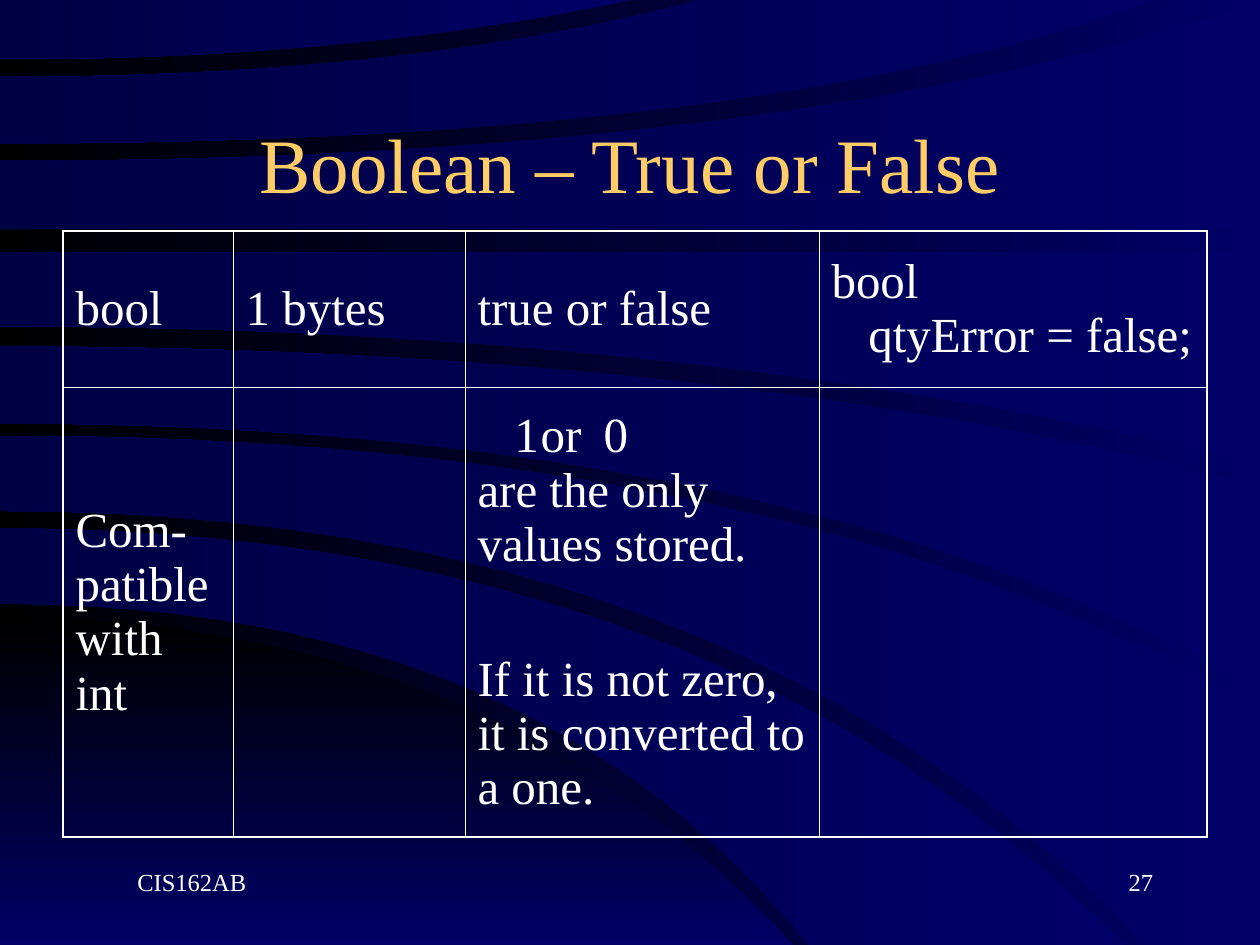
from lxml.etree import SubElement
from pptx import Presentation
from pptx.dml.color import RGBColor
from pptx.enum.text import MSO_ANCHOR as Anchor, PP_ALIGN as Align
from pptx.oxml.ns import qn
from pptx.util import Pt

NAVY = RGBColor(0x00, 0x00, 0x66)
DARK_NAVY = RGBColor(0x00, 0x00, 0x44)
BLACK = RGBColor(0x00, 0x00, 0x00)
GOLD = RGBColor(0xFF, 0xCC, 0x66)
WHITE = RGBColor(0xFF, 0xFF, 0xFF)
FONT = "Times New Roman"
WIDTH, HEIGHT = 720, 540
CURVE_STEPS = 24


def set_gradient(fill, first, last, angle):
    fill.gradient()
    fill.gradient_angle = angle
    for stop, color in zip(fill.gradient_stops, (first, last)):
        stop.color.rgb = color


def curve(start_y, control_x, end_x, end_y):
    """Points of a quadratic curve that leaves the left slide edge horizontally."""
    points = []
    for step in range(CURVE_STEPS + 1):
        t = step / CURVE_STEPS
        x = 2 * t * (1 - t) * control_x + t * t * end_x
        y = start_y + t * t * (end_y - start_y)
        points.append((Pt(x), Pt(y)))
    return points


presentation = Presentation()
presentation.slide_width, presentation.slide_height = Pt(WIDTH), Pt(HEIGHT)
slide = presentation.slides.add_slide(presentation.slide_layouts[6])
set_gradient(slide.background.fill, NAVY, BLACK, 180)

# Bands: upper and lower edge, each as start y, control x, end x, end y
bands = [
    ((353.5, 285, 453, HEIGHT), (HEIGHT, 0, 0, HEIGHT)),
    ((302, 406, 643, HEIGHT), (345, 307, 462, HEIGHT)),
    ((249, 450, WIDTH, 405), (292, 423, 654, HEIGHT)),
    ((198, 410, WIDTH, 277), (242, 456, WIDTH, 395)),
    ((144, 360, WIDTH, 144), (186.5, 400, WIDTH, 265)),
    ((92, 460, WIDTH, 0), (131, 360, WIDTH, 131)),
    ((44, 236, 400, 0), (82, 436, 660, 0)),
    ((0, 0, 0, 0), (34, 200, 361, 0)),
]
for index, edges in enumerate(bands):
    upper, lower = (curve(*edge) for edge in edges)
    corner = (max(upper[-1][0], lower[-1][0]), max(upper[-1][1], lower[-1][1]))
    builder = slide.shapes.build_freeform(*upper[0])
    builder.add_line_segments(upper[1:] + [corner] + lower[::-1], close=True)
    band = builder.convert_to_shape()
    band.shadow.inherit = False
    band.line.fill.background()
    if index == 0:
        set_gradient(band.fill, BLACK, NAVY, 270)
    else:
        set_gradient(band.fill, NAVY, DARK_NAVY, 180)


def write(paragraph, text, size, color):
    paragraph.text = text
    formats = {"name": FONT, "size": Pt(size)}
    for run in paragraph.runs:
        for name, value in formats.items():
            setattr(run.font, name, value)
        run.font.color.rgb = color


# Title, page number and course name
labels = [
    ("Boolean – True or False", 54, 48, 612, 90, 44, GOLD, Align.CENTER, Anchor.MIDDLE, 7.2),
    ("27", 516, 492, 150, 36, 14, WHITE, Align.RIGHT, Anchor.TOP, 24.5),
    ("CIS162AB", 54, 492, 150, 36, 14, WHITE, Align.LEFT, Anchor.TOP, 24.5),
]
for text, left, top, width, height, size, color, align, anchor, margin in labels:
    box = slide.shapes.add_textbox(Pt(left), Pt(top), Pt(width), Pt(height))
    frame = box.text_frame
    formats = {"word_wrap": True, "vertical_anchor": anchor, "margin_left": Pt(margin)}
    for name, value in formats.items():
        setattr(frame, name, value)
    paragraph = frame.paragraphs[0]
    paragraph.alignment = align
    write(paragraph, text, size, color)

# Table: each paragraph is text, space before, first-line indent, tab stops
column_widths = [97.2, 132.5, 202.3, 221.8]
row_heights = [89.3, 257]
rows = [
    [[("bool", 7, 0, [])],
     [("1 bytes", 7, 0, [])],
     [("true or false", 7, 0, [])],
     [("bool", 7, 0, []), ("qtyError = false;", 0, 21, [])]],
    [[("Com-patible with int", 7, 0, [])],
     [],
     [("1\tor\t0\vare the only values stored.", 7, 21, [56, 100.5]),
      ("If it is not zero, it is converted to a one.", 46, 0, [])],
     []],
]
table = slide.shapes.add_table(
    len(rows), len(column_widths), Pt(36), Pt(132),
    Pt(sum(column_widths)), Pt(sum(row_heights))).table
table.first_row = table.horz_banding = False
for column, width in zip(table.columns, column_widths):
    column.width = Pt(width)
for row, height in zip(table.rows, row_heights):
    row.height = Pt(height)

last_row, last_column = len(rows) - 1, len(column_widths) - 1
for row_index, row in enumerate(rows):
    for column_index, content in enumerate(row):
        cell = table.cell(row_index, column_index)
        cell.vertical_anchor = Anchor.MIDDLE
        cell_properties = cell._tc.get_or_add_tcPr()
        outer_sides = {
            "a:lnL": column_index == 0,
            "a:lnR": column_index == last_column,
            "a:lnT": row_index == 0,
            "a:lnB": row_index == last_row,
        }
        for tag, is_outer in outer_sides.items():
            border = SubElement(cell_properties, qn(tag), w=str(Pt(1.08 if is_outer else 0.45)))
            solid = SubElement(border, qn("a:solidFill"))
            SubElement(solid, qn("a:srgbClr"), val=str(WHITE))
        cell.fill.background()

        frame = cell.text_frame
        for index, (text, space, indent, tabs) in enumerate(content):
            paragraph = frame.add_paragraph() if index else frame.paragraphs[0]
            write(paragraph, text, 28, WHITE)
            paragraph.space_before = Pt(space)
            properties = paragraph._p.get_or_add_pPr()
            properties.set("marL", "0")
            properties.set("indent", str(Pt(indent)))
            if tabs:
                tab_list = SubElement(properties, qn("a:tabLst"))
                for position in tabs:
                    SubElement(tab_list, qn("a:tab"), pos=str(Pt(position)), algn="l")

presentation.save("out.pptx")
